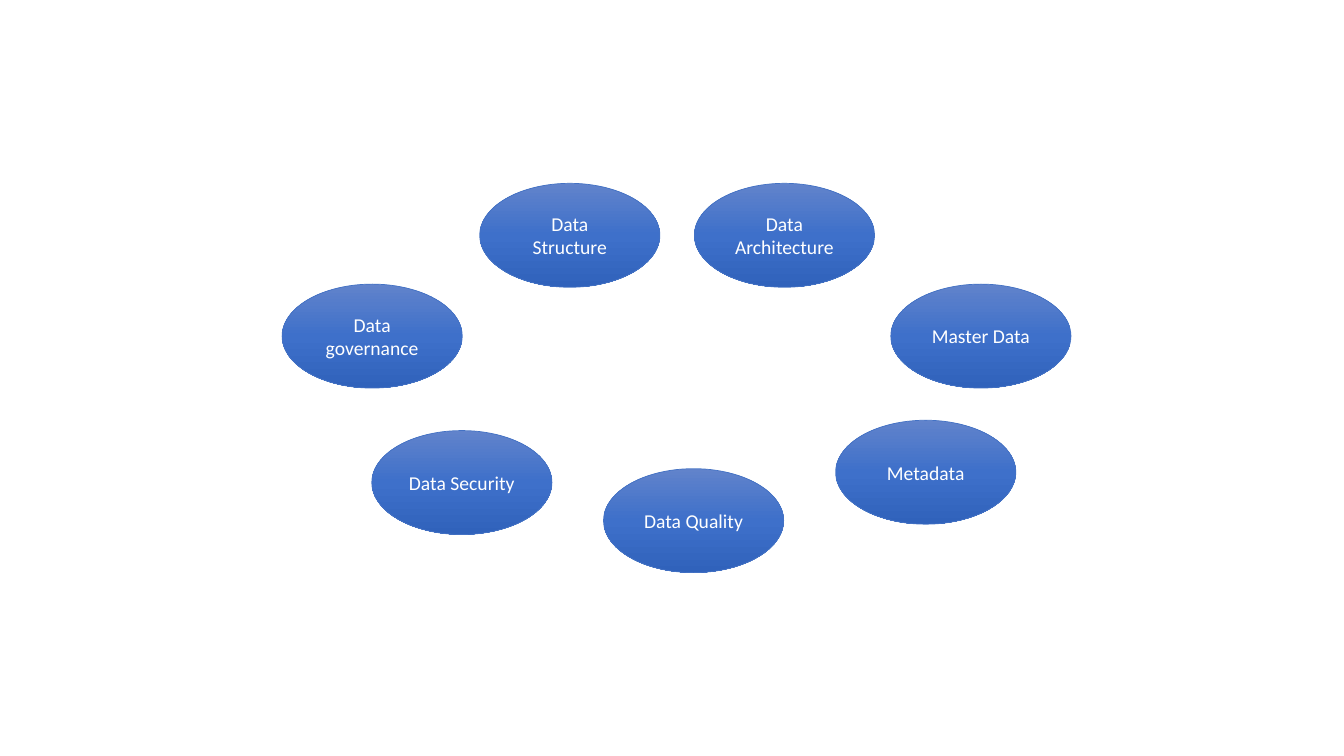
"""Build a slide with a ring of seven data management topics."""
from copy import deepcopy

from pptx import Presentation
from pptx.dml.color import RGBColor
from pptx.enum.shapes import MSO_SHAPE
from pptx.enum.text import MSO_ANCHOR, PP_ALIGN
from pptx.oxml.ns import qn
from pptx.util import Cm, Pt

ELLIPSE = MSO_SHAPE.OVAL
CENTER = PP_ALIGN.CENTER
MIDDLE = MSO_ANCHOR.MIDDLE

TOPIC_WIDTH, TOPIC_HEIGHT = Cm(4.54), Cm(2.62)
SHADES = [(0, "6183CB"), (0.5, "3E70CA"), (1, "3062BB")]
TOPICS = [
    ("Data governance", 7.11, 7.16),
    ("Data Structure", 12.09, 4.62),
    ("Data Architecture", 17.5, 4.62),
    ("Master Data", 22.45, 7.16),
    ("Metadata", 21.06, 10.59),
    ("Data Quality", 15.21, 11.81),
    ("Data Security", 9.37, 10.85),
]


def color(hex_code):
    return RGBColor.from_string(hex_code)


prs = Presentation()
prs.slide_width, prs.slide_height = Cm(33.87), Cm(19.05)
slide = prs.slides.add_slide(prs.slide_layouts[6])

for label, left, top in TOPICS:
    topic = slide.shapes.add_shape(ELLIPSE, Cm(left), Cm(top), TOPIC_WIDTH, TOPIC_HEIGHT)
    topic.shadow.inherit = False
    topic.line.color.rgb = color("4472C4")
    topic.line.width = Pt(0.5)

    topic.fill.gradient()
    topic.fill.gradient_angle = 270
    stop_list = topic.element.spPr.find(".//" + qn("a:gsLst"))
    stop_list.insert(1, deepcopy(stop_list[0]))
    for stop, (position, shade) in zip(topic.fill.gradient_stops, SHADES):
        stop.position = position
        stop.color.rgb = color(shade)

    frame = topic.text_frame
    frame.text = label
    frame.word_wrap = True
    frame.vertical_anchor = MIDDLE
    paragraph = frame.paragraphs[0]
    paragraph.alignment = CENTER
    font = paragraph.runs[0].font
    font.name = "Calibri"
    font.size = Pt(14)
    font.color.rgb = color("FFFFFF")

prs.save("out.pptx")
